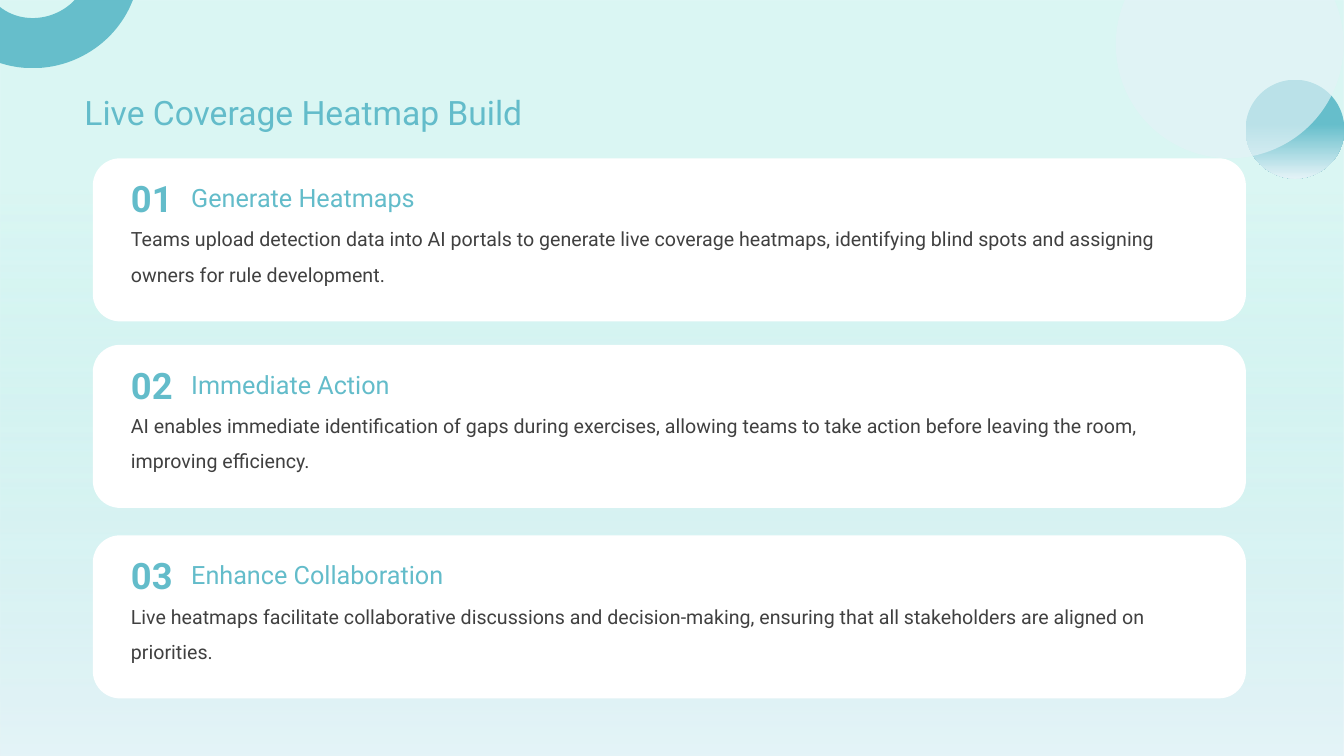
from lxml import etree
from pptx import Presentation
from pptx.dml.color import RGBColor
from pptx.enum.shapes import MSO_SHAPE
from pptx.enum.text import MSO_ANCHOR, MSO_AUTO_SIZE
from pptx.oxml.ns import qn
from pptx.util import Cm, Pt

TITLE = "Live Coverage Heatmap Build"
STEPS = [
    ("Generate Heatmaps",
     "Teams upload detection data into AI portals to generate live coverage heatmaps, "
     "identifying blind spots and assigning owners for rule development."),
    ("Immediate Action",
     "AI enables immediate identification of gaps during exercises, allowing teams to "
     "take action before leaving the room, improving efficiency."),
    ("Enhance Collaboration",
     "Live heatmaps facilitate collaborative discussions and decision-making, ensuring "
     "that all stakeholders are aligned on priorities."),
]

COLOURS = {
    "mint": "A8EAE4",
    "teal": "66BECB",
    "pale": "E4F3F7",
    "heading": "63BCCA",
    "body": "404040",
    "card": "FFFFFF",
}
FONT = "Roboto"
WIDTH, HEIGHT = 33.87, 19.05
CARD_TOPS = [3.99, 8.69, 13.49]
CARD_LEFT, CARD_WIDTH, CARD_HEIGHT = 2.34, 29.06, 4.11
TEXT_LEFT, HEADING_LEFT = 3.05, 4.57

# Gradient stops: position in percent, colour, opacity in percent
BACKDROP = [(0, "mint", 42), (25, "mint", 42), (100, "pale", 100)]
TEAL_FADE = [(0, "teal", 100), (45, "teal", 100), (100, "pale", 100)]


def add_colour(parent, colour, opacity):
    """Append a colour element with the given opacity in percent."""
    element = etree.SubElement(parent, qn("a:srgbClr"), val=COLOURS[colour])
    if opacity < 100:
        etree.SubElement(element, qn("a:alpha"), val=str(opacity * 1000))


def fill_gradient(shape, stops):
    """Fill a shape from top to bottom with the given stops."""
    shape.fill.background()
    old_fill = shape._element.spPr.find(qn("a:noFill"))
    gradient = etree.Element(qn("a:gradFill"), rotWithShape="1")
    stop_list = etree.SubElement(gradient, qn("a:gsLst"))
    for position, colour, opacity in stops:
        stop = etree.SubElement(stop_list, qn("a:gs"), pos=str(position * 1000))
        add_colour(stop, colour, opacity)
    etree.SubElement(gradient, qn("a:lin"), ang="5400000", scaled="0")
    old_fill.getparent().replace(old_fill, gradient)


def fill_solid(shape, colour, opacity=100):
    shape.fill.solid()
    shape.fill.fore_color.rgb = RGBColor.from_string(COLOURS[colour])
    if opacity < 100:
        fill = shape._element.spPr.find(qn("a:solidFill"))
        fill.remove(fill[0])
        add_colour(fill, colour, opacity)


def add_plain_shape(page, kind, left, top, width, height):
    """Add a preset shape without outline or shadow; lengths in cm."""
    shape = page.shapes.add_shape(kind, Cm(left), Cm(top), Cm(width), Cm(height))
    shape.shadow.inherit = False
    shape.line.fill.background()
    return shape


def add_text(page, text, left, top, width, height, size, colour="heading",
             bold=False, spacing=None):
    box = page.shapes.add_textbox(Cm(left), Cm(top), Cm(width), Cm(height))
    frame = box.text_frame
    frame.word_wrap = True
    frame.vertical_anchor = MSO_ANCHOR.TOP
    para = frame.paragraphs[0]
    if spacing:
        para.line_spacing = spacing
    span = para.add_run()
    span.text = text
    span.font.name = FONT
    span.font.size = Pt(size)
    span.font.bold = bold
    span.font.color.rgb = RGBColor.from_string(COLOURS[colour])
    return box


def add_decoration(page):
    backdrop = add_plain_shape(page, MSO_SHAPE.RECTANGLE, 0, 0, WIDTH, HEIGHT)
    fill_gradient(backdrop, BACKDROP)

    small_circle = add_plain_shape(page, MSO_SHAPE.OVAL, 31.39, 2.01, 2.49, 2.49)
    fill_gradient(small_circle, TEAL_FADE)

    arc = add_plain_shape(page, MSO_SHAPE.BLOCK_ARC, -1.73, -3.35, 5.26, 5.05)
    arc.rotation = 157
    for index, value in enumerate((108, 0, 0.25)):
        arc.adjustments[index] = value
    fill_gradient(arc, TEAL_FADE)


def add_step(page, number, top, heading, body):
    add_text(page, f"{number:02d}", TEXT_LEFT, top + 0.33, 1.8, 1.27, 26, bold=True)
    add_text(page, heading, HEADING_LEFT, top + 0.49, 9.96, 0.94, 18)
    add_text(page, body, TEXT_LEFT, top + 1.32, 27.76, 2.36, 14, "body", spacing=1.5)


def main():
    deck = Presentation()
    deck.slide_width, deck.slide_height = Cm(WIDTH), Cm(HEIGHT)
    page = deck.slides.add_slide(deck.slide_layouts[6])

    add_decoration(page)
    title = add_text(page, TITLE, 1.88, 2.18, 28.93, 1.02, 24)
    title.text_frame.auto_size = MSO_AUTO_SIZE.SHAPE_TO_FIT_TEXT
    large_circle = add_plain_shape(page, MSO_SHAPE.OVAL, 28.12, -1.75, 5.74, 5.74)
    fill_solid(large_circle, "pale", 67)

    for top in CARD_TOPS:
        card = add_plain_shape(page, MSO_SHAPE.ROUNDED_RECTANGLE,
                               CARD_LEFT, top, CARD_WIDTH, CARD_HEIGHT)
        card.adjustments[0] = 0.167
        fill_solid(card, "card")
    for number, (top, (heading, body)) in enumerate(zip(CARD_TOPS, STEPS), start=1):
        add_step(page, number, top, heading, body)

    deck.save("out.pptx")


if __name__ == "__main__":
    main()
